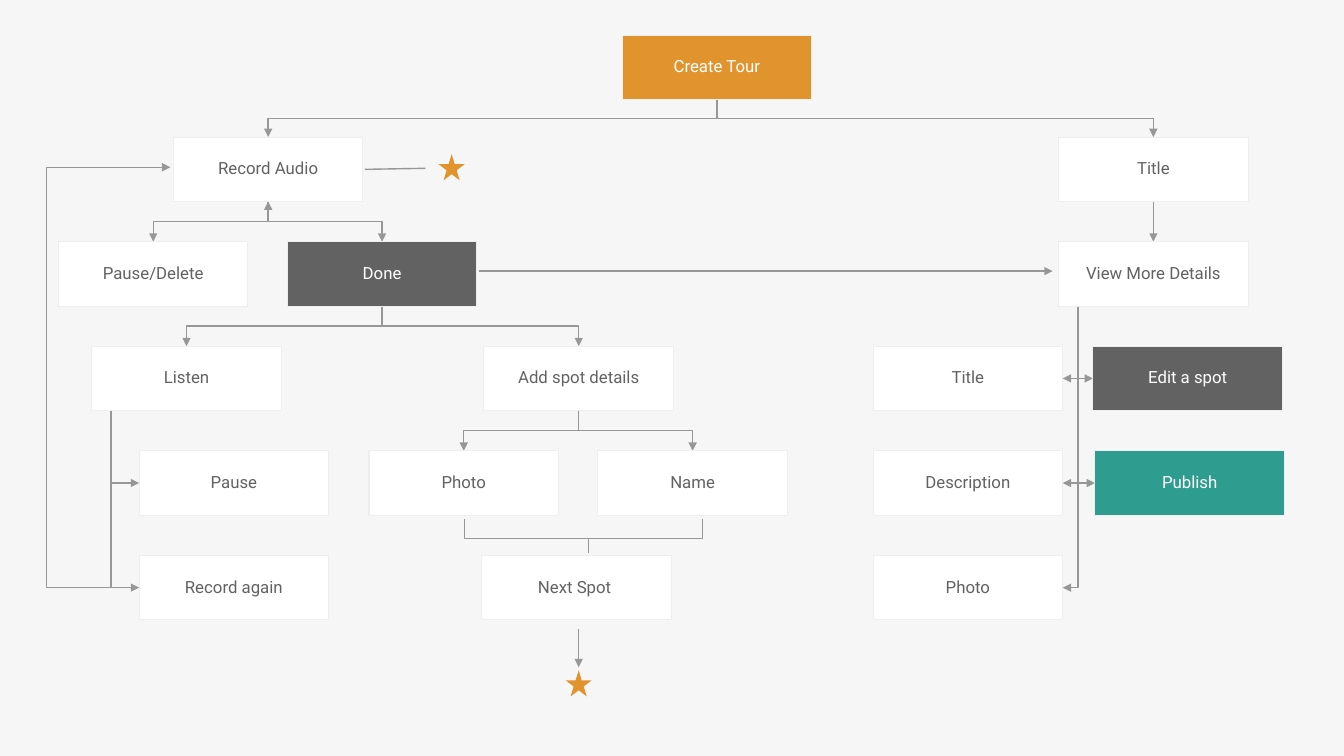
from dataclasses import dataclass

from lxml import etree
from pptx import Presentation
from pptx import util as u
from pptx.dml.color import RGBColor
from pptx.enum import shapes, text
from pptx.oxml.ns import qn

BACKGROUND = RGBColor(0xF6, 0xF6, 0xF6)
WHITE = RGBColor(0xFF, 0xFF, 0xFF)
GREY = RGBColor(0x62, 0x62, 0x62)
BORDER = RGBColor(0xEE, 0xEE, 0xEE)
ARROW = RGBColor(0x97, 0x97, 0x97)
ORANGE = RGBColor(0xE1, 0x94, 0x2E)
TEAL = RGBColor(0x2E, 0x9C, 0x8F)

BOX_WIDTH, BOX_HEIGHT = 1.88, 0.64
ROW_TOPS = [0.35] + [1.36 + 1.0375 * row for row in range(5)]
SPINE_INSET = 0.19
STAR_SIZE = 0.26


@dataclass
class Step:
    """One box of the flow, placed by its left edge and grid row."""
    label: str
    left: float
    row: int
    fill: RGBColor = WHITE

    @property
    def top(self):
        """Top edge in inches."""
        return ROW_TOPS[self.row]

    @property
    def bottom(self):
        """Bottom edge in inches."""
        return self.top + BOX_HEIGHT

    @property
    def right(self):
        """Right edge in inches."""
        return self.left + BOX_WIDTH

    @property
    def center(self):
        """Horizontal centre in inches."""
        return self.left + BOX_WIDTH / 2

    @property
    def middle(self):
        """Vertical centre in inches."""
        return self.top + BOX_HEIGHT / 2


STEPS = {
    "create": Step("Create Tour", 6.17, 0, ORANGE),
    "record": Step("Record Audio", 1.72, 1),
    "delete": Step("Pause/Delete", 0.58, 2),
    "done": Step("Done", 2.85, 2, GREY),
    "listen": Step("Listen", 0.91, 3),
    "pause": Step("Pause", 1.38, 4),
    "again": Step("Record again", 1.38, 5),
    "add spot": Step("Add spot details", 4.8, 3),
    "spot photo": Step("Photo", 3.66, 4),
    "spot name": Step("Name", 5.93, 4),
    "next": Step("Next Spot ", 4.78, 5),
    "title": Step("Title", 10.5, 1),
    "details": Step("View More Details", 10.5, 2),
    "tour title": Step("Title", 8.66, 3),
    "description": Step("Description", 8.66, 4),
    "tour photo": Step("Photo", 8.66, 5),
    "publish": Step("Publish", 10.86, 4, TEAL),
    "edit": Step("Edit a spot", 10.84, 3, GREY),
}
BRANCHES = {
    "create": ["record", "title"],
    "record": ["delete", "done"],
    "done": ["listen", "add spot"],
    "add spot": ["spot photo", "spot name"],
    "title": ["details"],
}
SPINES = {
    "listen": ["pause", "again"],
    "details": ["tour title", "description", "tour photo", "edit", "publish"],
}


def set_format(target, values):
    """Set each named attribute on the target."""
    for name, value in values.items():
        setattr(target, name, value)


def add_route(slide, points, head=False, tail=True):
    """Draw a line through points given in inches, with optional arrowheads."""
    points = [(u.Inches(x), u.Inches(y)) for x, y in points]
    if len(points) == 2:
        line = slide.shapes.add_connector(
            shapes.MSO_CONNECTOR.STRAIGHT, *points[0], *points[1])
        etree.SubElement(line._element.spPr, qn("a:effectLst"))
    else:
        builder = slide.shapes.build_freeform(*points[0])
        builder.add_line_segments(points[1:], close=False)
        line = builder.convert_to_shape()
        line.fill.background()
        line.shadow.inherit = False
    line.line.color.rgb = ARROW
    line.line.width = u.Pt(1)
    for tag, wanted in (("a:headEnd", head), ("a:tailEnd", tail)):
        if wanted:
            etree.SubElement(line.line._get_or_add_ln(), qn(tag), type="triangle")


def add_branch(slide, parent, child, head=False):
    """Lead from the foot of the parent to the top of the child."""
    ends = (parent.center, parent.bottom), (child.center, child.top)
    if parent.center == child.center:
        add_route(slide, ends)
        return
    turn = (parent.bottom + child.top) / 2
    bends = (parent.center, turn), (child.center, turn)
    add_route(slide, [ends[0], *bends, ends[1]], head=head)


def add_spine(slide, parent, child):
    """Lead down from the parent's left part to the child's near side."""
    spine = parent.left + SPINE_INSET
    side = child.left if child.left > spine else child.right
    add_route(slide, [(spine, parent.bottom), (spine, child.middle),
                      (side, child.middle)])


def add_preset(slide, kind, left, top, width, height, fill):
    """Add a filled preset shape without line or shadow."""
    shape = slide.shapes.add_shape(kind, *map(u.Inches, (left, top, width, height)))
    shape.fill.solid()
    shape.fill.fore_color.rgb = fill
    shape.line.fill.background()
    shape.shadow.inherit = False
    return shape


def add_star(slide, left, top):
    """Add one orange star."""
    add_preset(slide, shapes.MSO_SHAPE.STAR_5_POINT, left, top,
               STAR_SIZE, STAR_SIZE, ORANGE)


def add_step(slide, step):
    """Add the box of a step with its label."""
    box = add_preset(slide, shapes.MSO_SHAPE.RECTANGLE, step.left, step.top,
                     BOX_WIDTH, BOX_HEIGHT, step.fill)
    box.line.color.rgb = BORDER
    box.line.width = u.Pt(0.75)
    margins = ("margin_left", "margin_top", "margin_right", "margin_bottom")
    set_format(box.text_frame, dict.fromkeys(margins, u.Inches(0.01)) | {
        "word_wrap": True, "vertical_anchor": text.MSO_ANCHOR.MIDDLE})
    para = box.text_frame.paragraphs[0]
    set_format(para, {"alignment": text.PP_ALIGN.CENTER, "line_spacing": 0.9})
    span = para.add_run()
    span.text = step.label
    set_format(span.font, {"name": "Roboto", "size": u.Pt(12)})
    span.font.color.rgb = GREY if step.fill == WHITE else WHITE


def add_side_routes(slide):
    """Add the loop back, the link to the details, the merge and the star links."""
    record, again, done = (STEPS[key] for key in ("record", "again", "done"))
    add_route(slide, [(1.16, again.middle), (0.46, again.middle),
                      (0.46, 1.66), (record.left - 0.03, 1.66)])
    add_route(slide, [(done.right + 0.02, 2.69),
                      (STEPS["details"].left - 0.06, 2.69)])
    add_route(slide, [(4.61, 5.15), (4.61, 5.34), (6.97, 5.34), (6.97, 5.15)],
              tail=False)
    add_route(slide, [(5.84, 5.34), (5.84, 5.49)], tail=False)
    add_route(slide, [(record.right + 0.02, 1.68), (4.22, 1.67)], tail=False)
    add_route(slide, [(5.74, 6.24), (5.74, 6.62)])


def main():
    """Build the tour flow slide."""
    deck = Presentation()
    set_format(deck, {"slide_width": u.Inches(13.33),
                      "slide_height": u.Inches(7.5)})
    page = deck.slides.add_slide(deck.slide_layouts[6])
    page.background.fill.solid()
    page.background.fill.fore_color.rgb = BACKGROUND
    for parent, children in SPINES.items():
        for child in children:
            add_spine(page, STEPS[parent], STEPS[child])
    for parent, children in BRANCHES.items():
        for child in children:
            add_branch(page, STEPS[parent], STEPS[child], head=child == "delete")
    for step in STEPS.values():
        add_step(page, step)
    add_side_routes(page)
    add_star(page, 4.35, 1.53)
    add_star(page, 5.61, 6.65)
    deck.save("out.pptx")


main()
